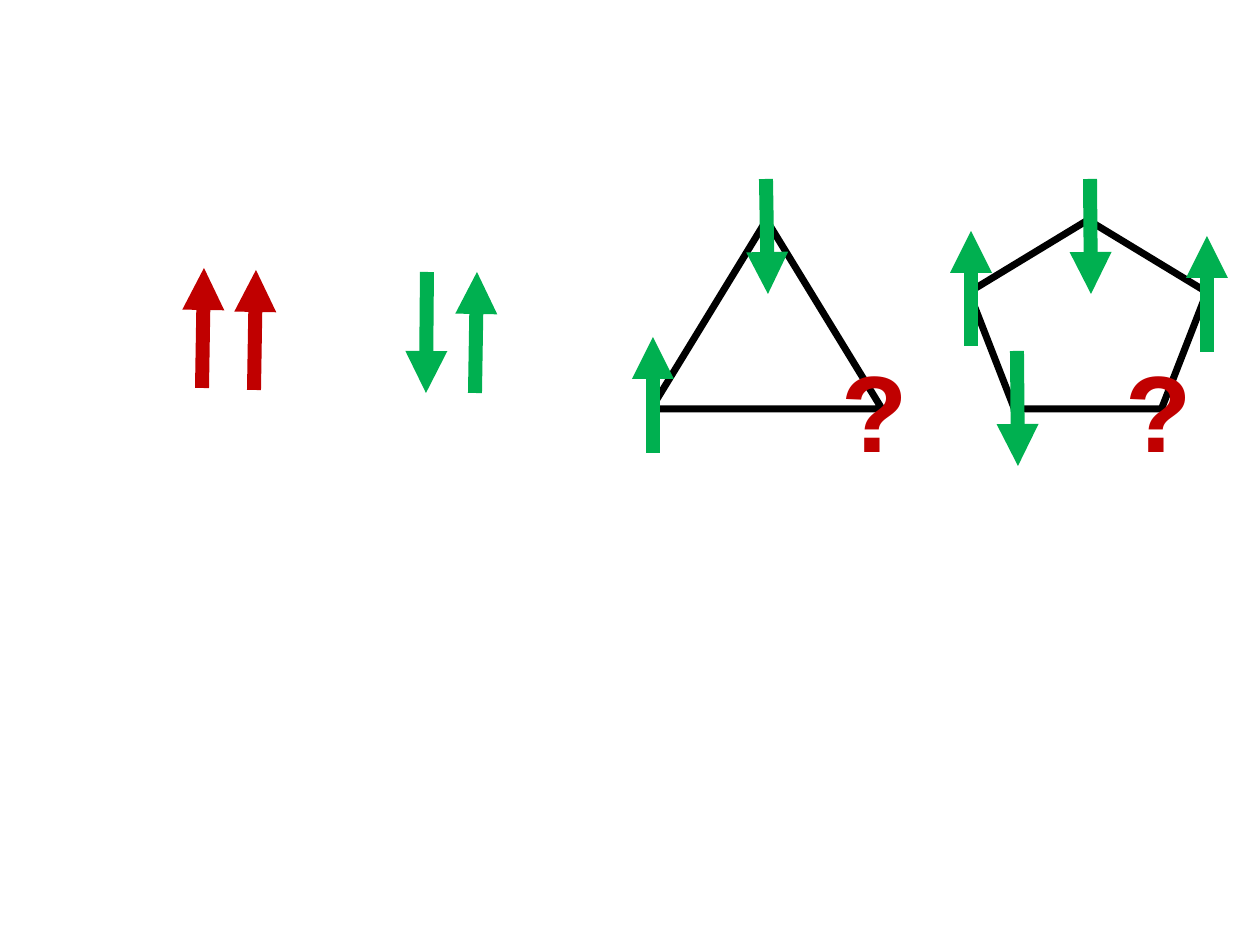
from pptx import Presentation
from pptx.dml.color import RGBColor
from pptx.enum.shapes import MSO_CONNECTOR, MSO_SHAPE
from pptx.oxml.ns import qn
from pptx.util import Pt
from lxml import etree

EMU_PER_PX = 914400 / 126
STRAIGHT = MSO_CONNECTOR.STRAIGHT
TRIANGLE = MSO_SHAPE.ISOSCELES_TRIANGLE
PENTAGON = MSO_SHAPE.REGULAR_PENTAGON
COLORS = {"outline": "000000", "aligned": "C00000", "opposed": "00B050", "question": "C00000"}


def px(value):
    return round(value * EMU_PER_PX)


def color(name):
    return RGBColor.from_string(COLORS[name])


def write_text(frame, text, *, size, font, color_name, bold=False):
    run = frame.paragraphs[0].add_run()
    run.text = text
    run.font.size = Pt(size)
    run.font.name = font
    run.font.bold = bold
    run.font.color.rgb = color(color_name)


class SpinSlide:
    font = "Arial"
    outline_width = 4
    arrow_width = 8
    question_size = 62

    def __init__(self, slide):
        self.slide = slide

    def outline(self, kind, left, top, width, height):
        shape = self.slide.shapes.add_shape(kind, px(left), px(top), px(width), px(height))
        shape.shadow.inherit = False
        shape.fill.background()
        shape.line.color.rgb = color("outline")
        shape.line.width = Pt(self.outline_width)

    def spin(self, start, tip, color_name="opposed"):
        """Draw an arrow from start to tip."""
        arrow = self.slide.shapes.add_connector(STRAIGHT, *map(px, (*start, *tip)))
        arrow.line.color.rgb = color(color_name)
        arrow.line.width = Pt(self.arrow_width)
        etree.SubElement(arrow.line._get_or_add_ln(), qn("a:tailEnd"), type="triangle")
        etree.SubElement(arrow._element.spPr, qn("a:effectLst"))

    def question(self, left, top):
        box = self.slide.shapes.add_textbox(px(left), px(top), px(78), px(144))
        frame = box.text_frame
        frame.word_wrap = True
        frame.margin_top = px(15)
        frame.margin_bottom = 0
        write_text(frame, "?", size=self.question_size, font=self.font,
                   color_name="question", bold=True)


def main():
    presentation = Presentation()
    presentation.slide_width = px(1260)
    presentation.slide_height = px(945)
    spins = SpinSlide(presentation.slides.add_slide(presentation.slide_layouts[6]))

    rings = [
        (TRIANGLE, (651, 220, 231, 189), 829,
         [((766, 179), (768, 294)), ((653, 453), (653, 337))]),
        (PENTAGON, (969, 220, 238, 189), 1113,
         [((1090, 179), (1091, 294)), ((1017, 351), (1018, 466)),
          ((971, 346), (971, 231)), ((1207, 352), (1207, 236))]),
    ]
    for kind, bounds, question_left, arrows in rings:
        spins.outline(kind, *bounds)
        for start, tip in arrows:
            spins.spin(start, tip)
        spins.question(question_left, 329)

    pairs = {
        "aligned": [((202, 388), (204, 268)), ((254, 390), (256, 270))],
        "opposed": [((427, 272), (426, 393)), ((475, 393), (477, 272))],
    }
    for color_name, arrows in pairs.items():
        for start, tip in arrows:
            spins.spin(start, tip, color_name)

    presentation.save("out.pptx")


if __name__ == "__main__":
    main()
